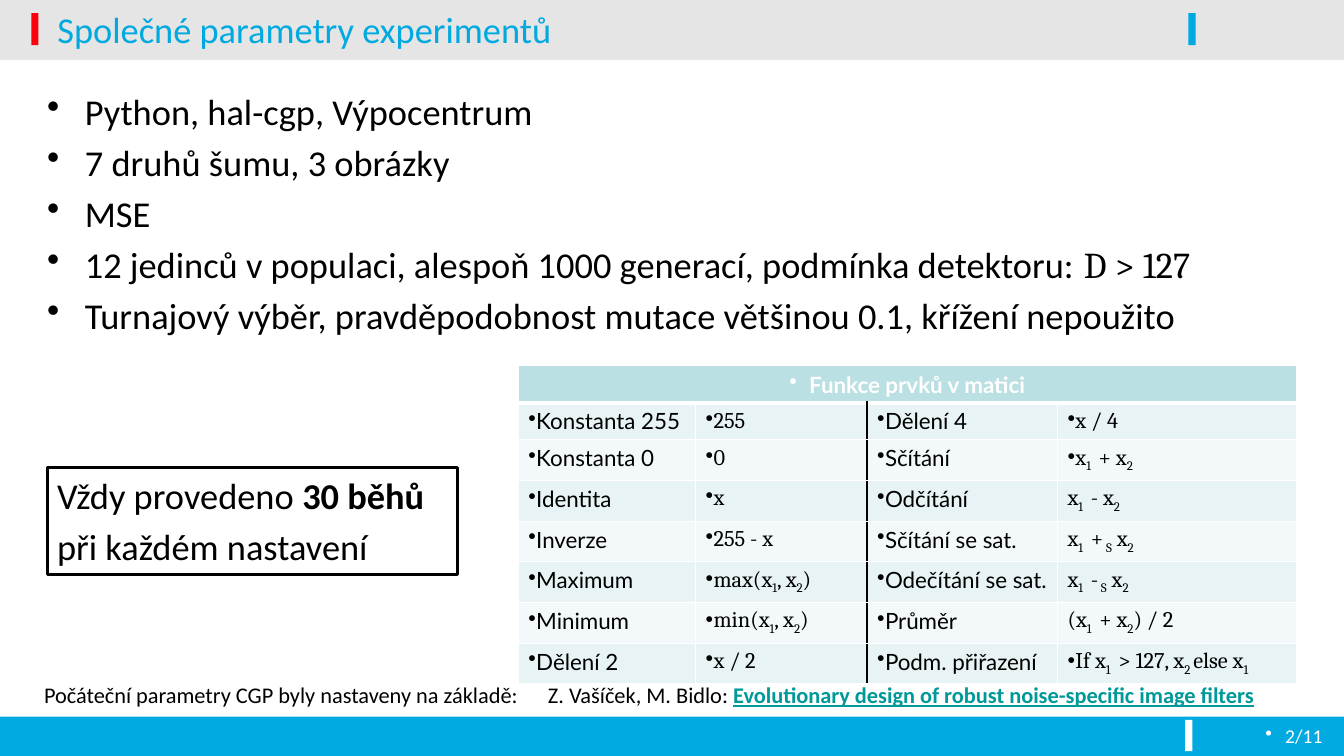
import pptx
import pptx.util
import pptx.dml.color
import pptx.enum.shapes
import pptx.enum.text
import pptx.oxml
import pptx.oxml.ns
from dataclasses import dataclass
from lxml import etree

Cm = pptx.util.Cm
Pt = pptx.util.Pt
qn = pptx.oxml.ns.qn
ALIGN = pptx.enum.text.PP_ALIGN
ANCHOR = pptx.enum.text.MSO_ANCHOR


@dataclass(frozen=True)
class Theme:
    blue: str = "00A9E0"
    red: str = "FE000C"
    black: str = "000000"
    white: str = "FFFFFF"
    link: str = "009999"
    head: str = "BBE0E3"
    bands: tuple = ("E7F3F4", "F3F9FA")
    large: int = 26
    small: int = 16
    page: int = 14
    sans: str = "Calibri"
    label: str = "Lato"
    math: str = "Cambria"


class Deck:
    def __init__(self, theme):
        self.theme = theme
        self.file = pptx.Presentation()
        self.file.slide_width = Cm(33.87)
        self.file.slide_height = Cm(19.05)
        self.slide = self.file.slides.add_slide(self.file.slide_layouts[5])

    def color(self, code):
        return pptx.dml.color.RGBColor.from_string(code)

    def runs(self, para, parts, size, font=None, color=None):
        for text, style in parts:
            run = para.add_run()
            run.text = text
            run.font.size = Pt(size)
            run.font.name = style.get("font", font or self.theme.sans)
            run.font.bold = style.get("bold", False)
            run.font.underline = style.get("line", False)
            run.font.color.rgb = self.color(style.get("color", color or self.theme.black))
            if style.get("sub"):
                run.font._element.set("baseline", "-25000")

    def bullet(self, para, indent=0):
        props = para._p.get_or_add_pPr()
        props.set("marL", str(Cm(indent)))
        props.set("indent", str(-Cm(indent)))
        etree.SubElement(props, qn("a:buChar")).set("char", "•")

    def fill(self, frame, lines, size, indent=None, color=None, align=ALIGN.LEFT):
        frame.word_wrap = True
        frame.vertical_anchor = ANCHOR.TOP
        for index, parts in enumerate(lines):
            para = frame.add_paragraph() if index else frame.paragraphs[0]
            para.alignment = align
            para.space_before = Pt(size * 0.2 if index else 0)
            if indent is not None:
                self.bullet(para, indent)
            self.runs(para, parts, size, color=color)

    def title(self, text, *place):
        shape = self.slide.shapes.title
        shape.left, shape.top, shape.width, shape.height = map(Cm, place)
        frame = shape.text_frame
        frame.text = text
        frame.vertical_anchor = ANCHOR.MIDDLE
        para = frame.paragraphs[0]
        para.alignment = ALIGN.LEFT
        font = para.runs[0].font
        font.size = Pt(self.theme.large)
        font.name = self.theme.sans
        font.color.rgb = self.color(self.theme.blue)
        self.slide.shapes._spTree.append(shape._element)

    def rect(self, color, *place, alpha=None, line=None):
        kind = pptx.enum.shapes.MSO_SHAPE.RECTANGLE
        shape = self.slide.shapes.add_shape(kind, *map(Cm, place))
        shape.shadow.inherit = False
        shape.fill.solid()
        shape.fill.fore_color.rgb = self.color(color)
        if alpha:
            code = shape._element.spPr.find(".//" + qn("a:srgbClr"))
            etree.SubElement(code, qn("a:alpha")).set("val", str(alpha * 1000))
        if line:
            shape.line.color.rgb = self.color(line)
            shape.line.width = Pt(2)
        else:
            shape.line.fill.background()
        return shape

    def text(self, lines, size, *place, **style):
        box = self.slide.shapes.add_textbox(*map(Cm, place))
        self.fill(box.text_frame, lines, size, **style)

    def edge(self, cell, side, color, width):
        props = cell._tc.get_or_add_tcPr()
        line = etree.SubElement(props, qn("a:ln" + side), w=str(Pt(width)))
        paint = etree.SubElement(line, qn("a:solidFill"))
        etree.SubElement(paint, qn("a:srgbClr"), val=color)

    def paint(self, cell, color, dark="", base=1):
        for side in "LRTB":
            tone = self.theme.black if side == dark else self.theme.white
            self.edge(cell, side, tone, base if side == "B" else 1)
        cell.fill.solid()
        cell.fill.fore_color.rgb = self.color(color)

    def table(self, head, rows, left, top, widths, heights):
        theme = self.theme
        table = self.slide.shapes.add_table(
            len(heights), len(widths), Cm(left), Cm(top), Cm(sum(widths)), Cm(sum(heights))
        ).table
        table.horz_banding = False
        for column, width in zip(table.columns, widths):
            column.width = Cm(width)
        for row, height in zip(table.rows, heights):
            row.height = Cm(height)
        for cell in table.rows[0].cells:
            self.paint(cell, theme.head, base=3)
        first = table.cell(0, 0)
        first.merge(table.cell(0, len(widths) - 1))
        first.vertical_anchor = ANCHOR.MIDDLE
        para = first.text_frame.paragraphs[0]
        para.alignment = ALIGN.CENTER
        self.bullet(para, 0.5)
        self.runs(para, [(head, {"bold": True})], theme.small, theme.label, theme.white)
        for y, row in enumerate(rows, 1):
            for x, text in enumerate(row):
                cell = table.cell(y, x)
                self.paint(cell, theme.bands[(y - 1) % 2], {1: "R", 2: "L"}.get(x, ""))
                para = cell.text_frame.paragraphs[0]
                if not (x == 3 and 3 <= y <= 6):
                    self.bullet(para)
                parts = [(part, {"sub": i % 2}) for i, part in enumerate(text.split("_")) if part]
                self.runs(para, parts, theme.small, theme.math if x % 2 else theme.label)


POINTS = [
    [("Python, hal-cgp, Výpocentrum", {})],
    [("7 druhů šumu, 3 obrázky", {})],
    [("MSE", {})],
    [
        ("12 jedinců v populaci, alespoň 1000 generací, podmínka detektoru: ", {}),
        ("D > 127", {"font": Theme.math}),
    ],
    [("Turnajový výběr, pravděpodobnost mutace většinou 0.1, křížení nepoužito", {})],
]
NOTE = [
    [("Vždy provedeno ", {}), ("30 běhů", {"bold": True})],
    [("při každém nastavení", {})],
]
SOURCE = [
    [
        ("Počáteční parametry CGP byly nastaveny na základě: \tZ. Vašíček, M. Bidlo: ", {}),
        (
            "Evolutionary design of robust noise-specific image filters",
            {"bold": True, "line": True, "color": Theme.link},
        ),
    ]
]
ROWS = [
    ("Konstanta 255", "255", "Dělení 4", "x / 4"),
    ("Konstanta 0", "0", "Sčítání", "x_1 _ + x_2"),
    ("Identita", "x", "Odčítání", "x_1 _ - x_2"),
    ("Inverze", "255 - x", "Sčítání se sat.", "x_1 _ +_ S_ x_2"),
    ("Maximum", "max(x_1_, x_2_)", "Odečítání se sat.", "x_1 _ -_ S_ x_2"),
    ("Minimum", "min(x_1_, x_2_)", "Průměr", "(x_1 _ + x_2_) / 2"),
    ("Dělení 2", "x / 2", "Podm. přiřazení", "If x_1 _ > 127, x_2 _else x_1"),
]


def main():
    theme = Theme()
    deck = Deck(theme)
    deck.rect(theme.blue, 0, 18.06, 33.87, 0.99)
    deck.rect(theme.black, 0, 1.42, 33.87, 0.1, alpha=10)
    deck.rect(theme.black, 0, 0, 33.87, 1.42, alpha=10)
    deck.rect(theme.red, 0.79, 0.33, 0.18, 0.81)
    deck.rect(theme.white, 29.87, 18.14, 0.18, 0.79)
    deck.rect(theme.blue, 29.95, 0.33, 0.18, 0.81)
    deck.title("Společné parametry experimentů", 1.19, -0.28, 28.52, 2.01)
    deck.text(POINTS, theme.large, 0.94, 2.13, 32, 6.73, indent=0.95)
    deck.table(
        "Funkce prvků v matici", ROWS, 13.06, 9.22,
        (4.47, 4.32, 4.8, 6.02), [0.92] * 2 + [0.99] * 6,
    )
    note = deck.rect(theme.white, 1.19, 11.79, 10.34, 2.69, line=theme.black)
    deck.fill(note.text_frame, NOTE, theme.large)
    deck.text(
        [[("2/11", {})]], theme.page, 4.52, 18.11, 29.06, 0.91,
        indent=0.5, color=theme.white, align=ALIGN.RIGHT,
    )
    deck.text(SOURCE, theme.small, 0.86, 17.04, 32.72, 1.04)
    deck.file.save("out.pptx")


if __name__ == "__main__":
    main()
